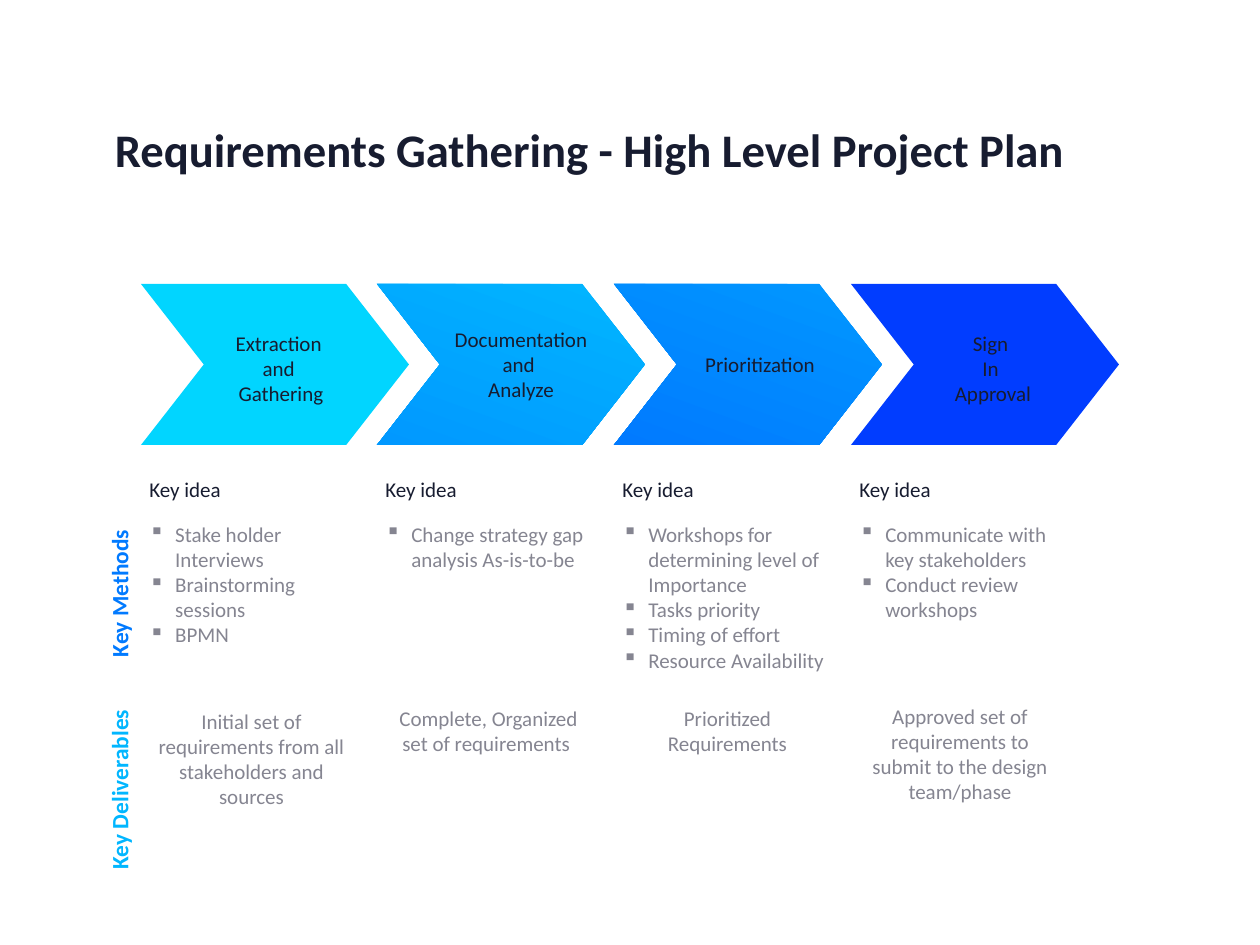
from pptx import Presentation
from pptx.dml.color import RGBColor
from pptx.enum.shapes import MSO_SHAPE
from pptx.enum.text import MSO_ANCHOR, MSO_AUTO_SIZE, PP_ALIGN
from pptx.oxml import parse_xml
from pptx.oxml.ns import nsdecls
from pptx.util import Emu, Pt

CHEVRON = MSO_SHAPE.CHEVRON
MIDDLE = MSO_ANCHOR.MIDDLE
NO_AUTOFIT = MSO_AUTO_SIZE.NONE
LEFT, CENTER = PP_ALIGN.LEFT, PP_ALIGN.CENTER

NAVY = RGBColor(0x17, 0x1C, 0x30)
GRAY = RGBColor(0x85, 0x85, 0x91)
CYAN = RGBColor(0x01, 0xD5, 0xFF)
SKY = RGBColor(0x01, 0xB6, 0xFF)
AZURE = RGBColor(0x01, 0x98, 0xFF)
BLUE = RGBColor(0x01, 0x7A, 0xFF)
ROYAL = RGBColor(0x01, 0x3D, 0xFF)

FONT = "Calibri"
PX = 914400 // 84
BULLET_INDENT = 26
COLUMN_LEFT, COLUMN_TOP = 141, 284
THREE_COLUMN_STEP = 710
CHEVRON_WIDTH, CHEVRON_HEIGHT = 268, 161

PHASES = [
    {
        "colors": [CYAN],
        "label": ["Extraction ", "and ", "Gathering"],
        "label_box": (63, 42, 154, 85),
        "align": CENTER,
        "methods": ["Stake holder Interviews", "Brainstorming sessions", "BPMN"],
        "methods_size": (221, 136),
        "deliverable": "Initial set of requirements from all stakeholders and sources",
        "deliverable_box": (0, 420, 221, 110),
    },
    {
        "colors": [SKY, AZURE],
        "label": ["Documentation", "and ", "Analyze"],
        "label_box": (67, 38, 154, 85),
        "align": CENTER,
        "methods": ["Change strategy gap analysis As-is-to-be"],
        "methods_size": (223, 60),
        "deliverable": "Complete, Organized set of requirements ",
        "deliverable_box": (0, 417, 223, 60),
    },
    {
        "colors": [AZURE, BLUE],
        "label": ["Prioritization"],
        "label_box": (83, 63, 154, 34),
        "align": LEFT,
        "methods": [
            "Workshops for determining level of Importance",
            "Tasks priority",
            "Timing of effort",
            "Resource Availability",
        ],
        "methods_size": (225, 161),
        "deliverable": "Prioritized Requirements",
        "deliverable_box": (1, 417, 225, 60),
    },
    {
        "colors": [ROYAL],
        "label": ["Sign ", "In ", "Approval"],
        "label_box": (65, 42, 154, 85),
        "align": CENTER,
        "methods": ["Communicate with key stakeholders", "Conduct review workshops"],
        "methods_size": (218, 110),
        "deliverable": "Approved set of requirements to submit to the design team/phase",
        "deliverable_box": (0, 415, 218, 110),
    },
]


def px(value):
    return Emu(value * PX)


def add_run(paragraph, text, color, size, bold=False):
    run = paragraph.add_run()
    run.text = text
    run.font.name = FONT
    run.font.size = Pt(size)
    run.font.bold = bold
    run.font.color.rgb = color


def add_bullet(paragraph):
    properties = paragraph._p.get_or_add_pPr()
    properties.set("marL", str(px(BULLET_INDENT)))
    properties.set("indent", str(-px(BULLET_INDENT)))
    properties.append(parse_xml(f'<a:buChar {nsdecls("a")} char="▪"/>'))


def add_text(slide, box, lines, color, align=LEFT, size=18, bold=False, bullets=False):
    shape = slide.shapes.add_textbox(*map(px, box))
    frame = shape.text_frame
    frame.word_wrap = True
    for index, line in enumerate(lines):
        paragraph = frame.add_paragraph() if index else frame.paragraphs[0]
        paragraph.alignment = align
        if bullets:
            add_bullet(paragraph)
        add_run(paragraph, line, color, size, bold)
    return shape


def add_title(slide, box, text):
    title = slide.shapes.title
    title.left, title.top, title.width, title.height = map(px, box)
    frame = title.text_frame
    frame.word_wrap = True
    frame.auto_size = NO_AUTOFIT
    frame.vertical_anchor = MIDDLE
    paragraph = frame.paragraphs[0]
    paragraph.alignment = CENTER
    paragraph.line_spacing = 0.9
    add_run(paragraph, text, NAVY, 40, bold=True)


def add_chevron(slide, box, colors):
    chevron = slide.shapes.add_shape(CHEVRON, *map(px, box))
    chevron.adjustments[0] = 0.39
    chevron.shadow.inherit = False
    chevron.line.fill.background()
    if len(colors) == 1:
        chevron.fill.solid()
        chevron.fill.fore_color.rgb = colors[0]
        return
    chevron.fill.gradient()
    chevron.fill.gradient_angle = 250
    for stop, color in zip(chevron.fill.gradient_stops, colors):
        stop.color.rgb = color


def add_phase(slide, left, top, phase):
    def place(x, y, width, height):
        return left + x, top + y, width, height

    add_chevron(slide, place(0, 0, CHEVRON_WIDTH, CHEVRON_HEIGHT), phase["colors"])
    add_text(slide, place(*phase["label_box"]), phase["label"], NAVY, phase["align"])
    add_text(slide, place(0, 188, 201, 34), ["Key idea"], NAVY)
    add_text(slide, place(0, 233, *phase["methods_size"]), phase["methods"], GRAY, bullets=True)
    add_text(slide, place(*phase["deliverable_box"]), [phase["deliverable"]], GRAY, CENTER)


def add_row_label(slide, box, text, color):
    label = add_text(slide, box, [text], color, CENTER, size=20, bold=True)
    label.rotation = 270


def main():
    presentation = Presentation()
    presentation.slide_width = px(1260)
    presentation.slide_height = px(945)
    slide = presentation.slides.add_slide(presentation.slide_layouts.get_by_name("Title Only"))
    add_title(slide, (94, 122, 991, 60), "Requirements Gathering - High Level Project Plan")
    for index, phase in enumerate(PHASES):
        left = COLUMN_LEFT + index * THREE_COLUMN_STEP // 3
        add_phase(slide, left, COLUMN_TOP, phase)
    add_row_label(slide, (9, 575, 221, 37), "Key Methods", BLUE)
    add_row_label(slide, (9, 771, 221, 37), "Key Deliverables", SKY)
    presentation.save("out.pptx")


if __name__ == "__main__":
    main()
